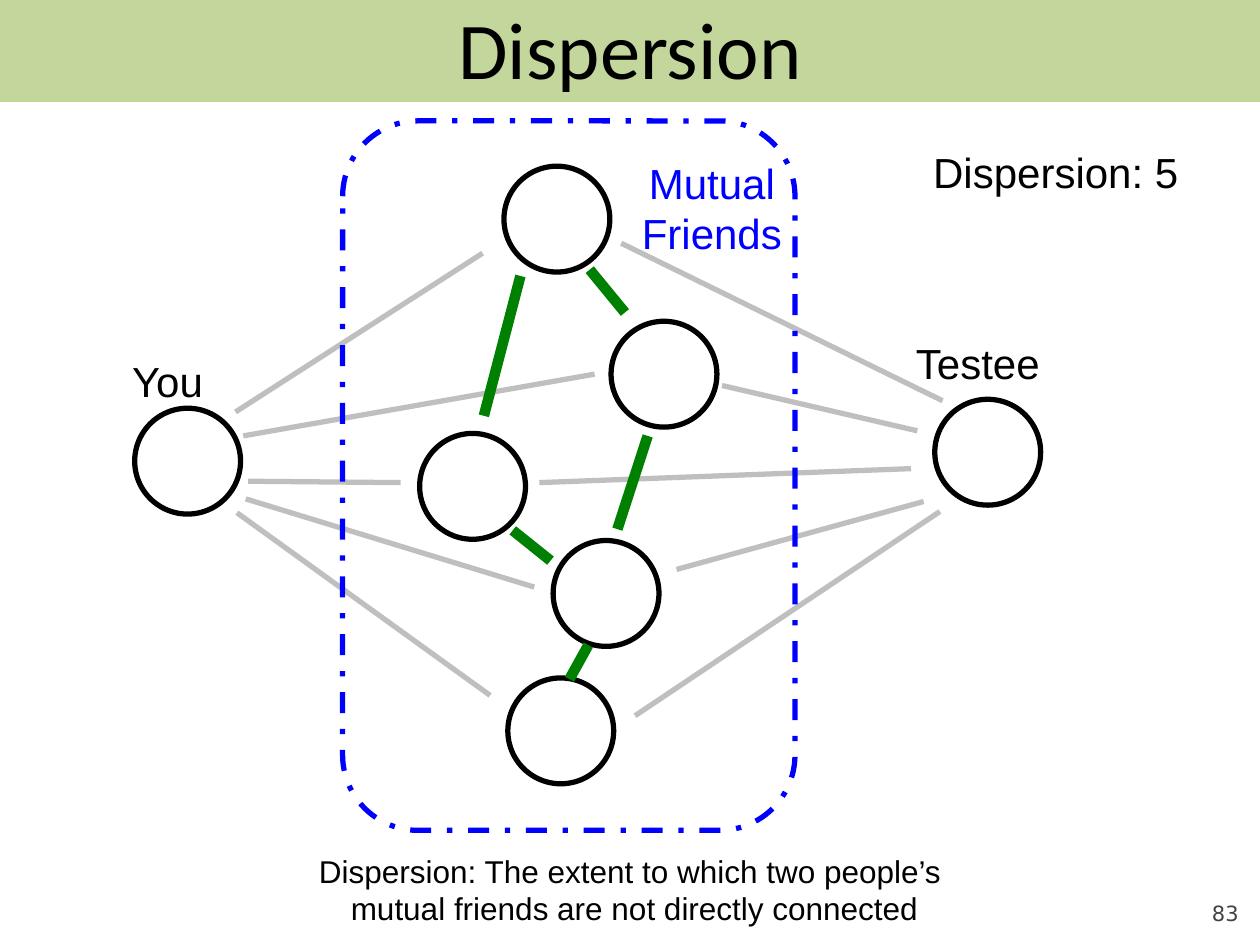
"""Build the slide that explains dispersion among mutual friends."""
from pptx import Presentation
from pptx.dml.color import RGBColor
from pptx.enum.dml import MSO_LINE
from pptx.enum.shapes import MSO_CONNECTOR, MSO_SHAPE
from pptx.enum.text import MSO_ANCHOR as Anchor, PP_ALIGN as Align
from pptx.oxml.ns import qn
from pptx.util import Pt
from lxml import etree

BLACK, BLUE, GREEN, GREY = "000000", "0000FF", "008000", "BFBFBF"
BAND, NUMBER = "C3D69B", "424242"
DIAMETER = 60.5

PEOPLE = [(77, 233.3), (534.2, 228.2)]
FRIENDS = [(288, 95), (349.2, 183.6), (239.8, 247.7), (316.1, 308.9), (290.2, 387.4)]
ACQUAINTANCES = [
    (134.6, 235.4, 275.8, 144.7), (139, 249.1, 339.8, 213.8),
    (141.8, 275, 229, 275.8), (135.4, 293, 280.1, 397.4),
    (140.4, 285.1, 305.3, 335.5), (355, 139, 538.6, 229),
    (412.6, 220.3, 524.2, 246.2), (308.2, 275.8, 520.6, 267.8),
    (386.6, 325.4, 527.8, 286.6), (362.9, 409, 537.1, 292.3),
]
FRIENDSHIPS = [
    (297.4, 157.7, 276.5, 237.6), (293, 303.1, 314.6, 320.4),
    (370.1, 249.1, 352.8, 302.4), (336.2, 368.6, 325.4, 388.1),
    (337, 154.1, 357.1, 178.6),
]
DEFINITION = ["Dispersion: The extent to which two people’s ",
              "mutual friends are not directly connected"]
LABELS = [
    (["You"], (67.7, 199.4, 55.4, 36), Align.RIGHT, BLACK),
    (["Testee"], (515.5, 189.4, 85.7, 36), Align.RIGHT, BLACK),
    (["Mutual", "Friends"], (359.3, 86.4, 95, 65.5), Align.CENTER, BLUE),
    (["Dispersion: 5"], (524.2, 79.9, 156.2, 36), Align.RIGHT, BLACK),
]


def points(values):
    return [Pt(value) for value in values]


def color(value):
    return RGBColor.from_string(value)


def write(box, lines, align, tint, size, font="Arial", wrap=True, anchor=Anchor.TOP):
    frame = box.text_frame
    frame.word_wrap = wrap
    frame.vertical_anchor = anchor
    for index, line in enumerate(lines):
        para = frame.add_paragraph() if index else frame.paragraphs[0]
        para.alignment = align
        span = para.add_run()
        span.text = line
        for name, value in {"size": Pt(size), "name": font}.items():
            setattr(span.font, name, value)
        span.font.color.rgb = color(tint)


def add_text(page, place, *args, **options):
    box = page.shapes.add_textbox(*points(place))
    write(box, *args, **options)
    return box


def add_outline(page, kind, place, tint):
    shape = page.shapes.add_shape(kind, *points(place))
    shape.shadow.inherit = False
    shape.fill.background()
    shape.line.color.rgb = color(tint)
    shape.line.width = Pt(3)
    return shape


def add_lines(page, ends, tint, width):
    for end in ends:
        line = page.shapes.add_connector(MSO_CONNECTOR.STRAIGHT, *points(end))
        line.line.color.rgb = color(tint)
        line.line.width = Pt(width)
        etree.SubElement(line._element.spPr, qn("a:effectLst"))


def add_header(page):
    title = page.shapes.title
    title.left, title.top, title.width, title.height = points((36, 0, 648, 54))
    write(title, ["Dispersion"], Align.CENTER, BLACK, 46, "Calibri", anchor=Anchor.MIDDLE)
    band = page.shapes.add_shape(MSO_SHAPE.RECTANGLE, *points((0, 0, 720, 58.3)))
    band.shadow.inherit = False
    band.fill.solid()
    band.fill.fore_color.rgb = color(BAND)
    band.line.fill.background()
    title._element.addprevious(band._element)


def add_number(page):
    box = add_text(page, (648, 500.4, 59.8, 28.8), ["83"], Align.RIGHT, NUMBER, 12,
                   "DejaVu Sans", anchor=Anchor.BOTTOM)
    for side in ("left", "top", "right", "bottom"):
        setattr(box.text_frame, f"margin_{side}", 0)


def main():
    deck = Presentation()
    deck.slide_width, deck.slide_height = points((720, 540))
    page = deck.slides.add_slide(deck.slide_layouts[5])
    add_header(page)
    add_number(page)
    add_text(page, (-22.3, 483.1, 769.7, 51.1), DEFINITION, Align.CENTER, BLACK, 18)
    for left, top in PEOPLE + FRIENDS:
        add_outline(page, MSO_SHAPE.OVAL, (left, top, DIAMETER, DIAMETER), BLACK)
    add_lines(page, ACQUAINTANCES, GREY, 3)
    group = add_outline(page, MSO_SHAPE.ROUNDED_RECTANGLE, (195.8, 69.1, 258.5, 405.4), BLUE)
    group.line.dash_style = MSO_LINE.DASH_DOT
    for lines, place, align, tint in LABELS:
        add_text(page, place, lines, align, tint, 24, wrap=False)
    add_lines(page, FRIENDSHIPS, GREEN, 6)
    deck.save("out.pptx")


if __name__ == "__main__":
    main()
